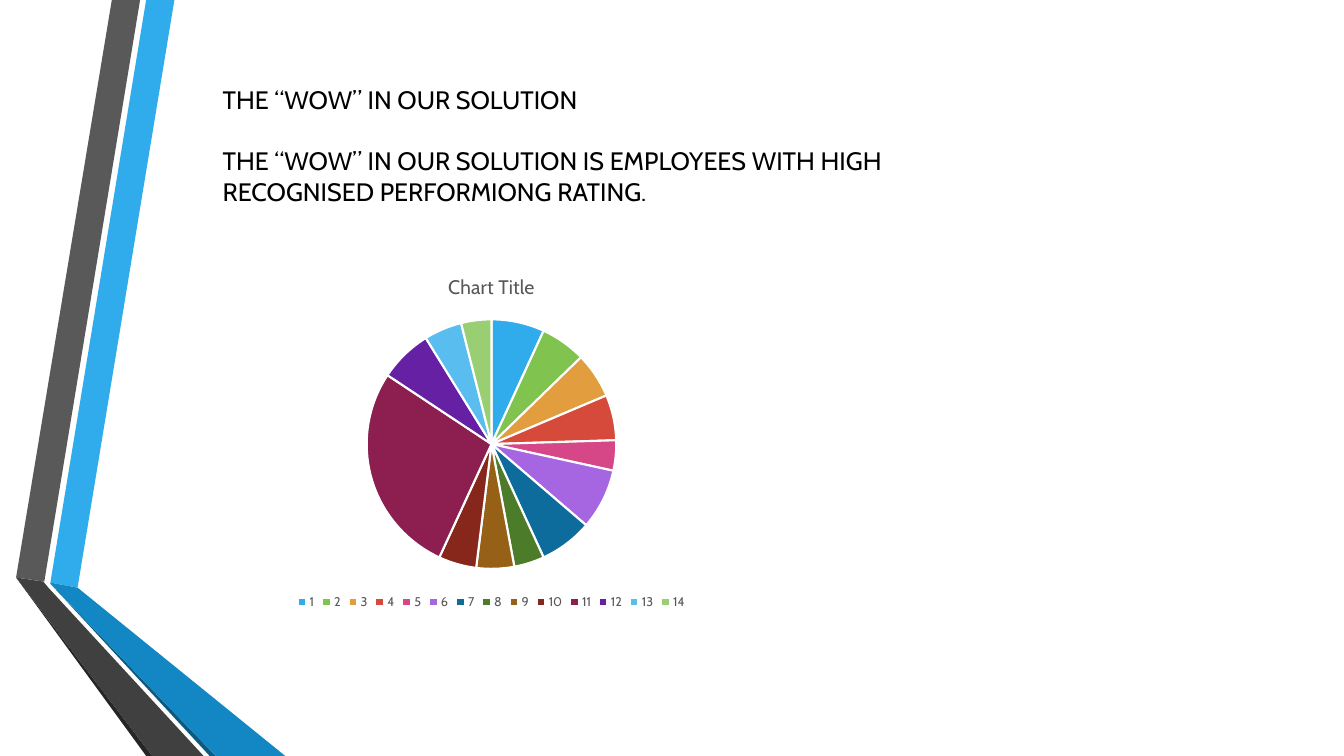
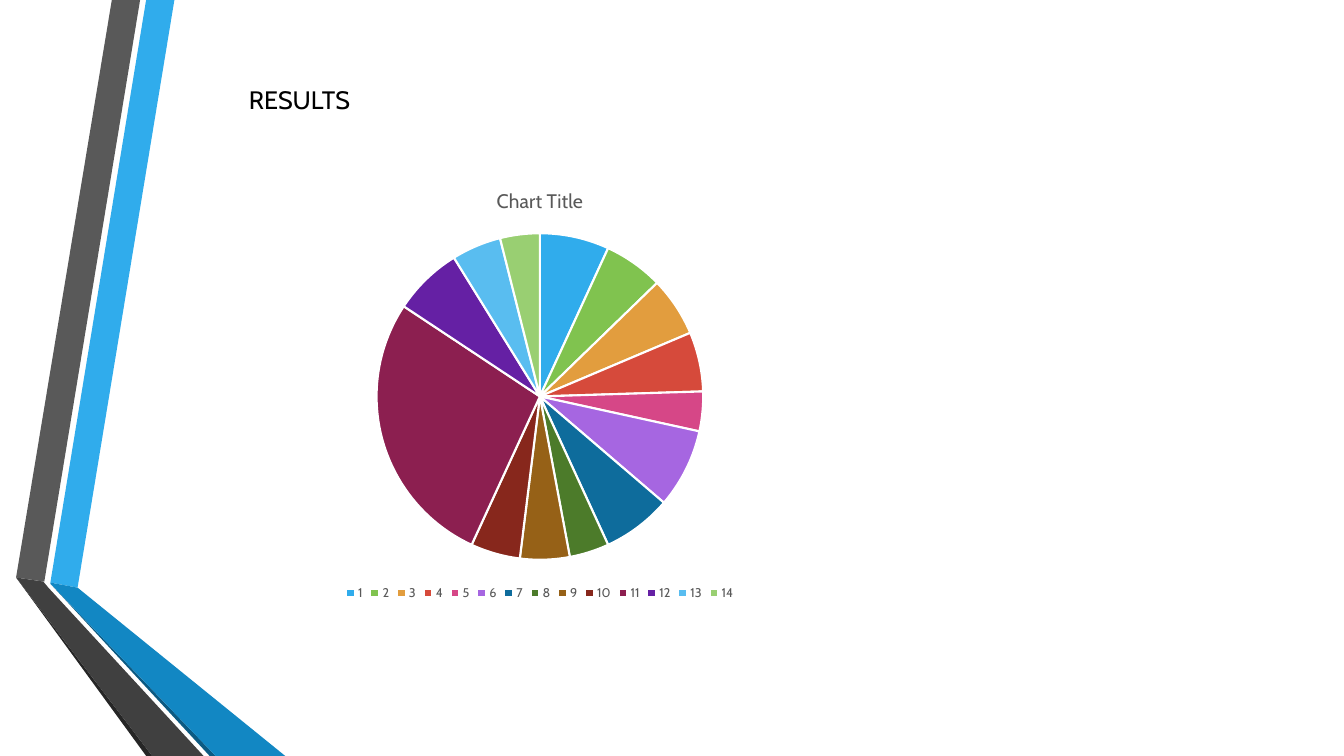
from pptx import Presentation
from pptx import util as u
from pptx.chart.data import CategoryChartData
from pptx.dml.color import RGBColor
from pptx.enum import chart as charts, text

FONT = "Cabin"
BLACK = RGBColor(0x00, 0x00, 0x00)
WHITE = RGBColor(0xFF, 0xFF, 0xFF)
SKY = RGBColor(0x30, 0xAC, 0xEC)
BLUE = RGBColor(0x12, 0x87, 0xC3)
NAVY = RGBColor(0x0C, 0x5A, 0x82)
GREY = RGBColor(0x59, 0x59, 0x59)
DARK_GREY = RGBColor(0x40, 0x40, 0x40)
CHARCOAL = RGBColor(0x26, 0x26, 0x26)

SLICE_COLOURS = [SKY] + [RGBColor.from_string(code) for code in (
    "80C34F", "E29D3E", "D64A3B", "D64787", "A666E1", "0E6C9C",
    "4C7B2A", "966117", "87271C", "8C1F50", "6520A4", "59BDF0", "99CF72")]
RATINGS = (7, 6, 6, 6, 4, 8, 7, 4, 5, 5, 28, 7, 5, 4)

RIBBONS = (
    (SKY, [(0.5, 5.78), (0.77, 5.83), (1.73, 0), (1.45, 0)]),
    (GREY, [(1.39, 0), (1.11, 0), (0.16, 5.73), (0.44, 5.77)]),
    (CHARCOAL, [(0.16, 5.73), (1.45, 7.5), (1.51, 7.5)]),
    (NAVY, [(0.5, 5.79), (2.08, 7.5), (2.14, 7.5)]),
    (BLUE, [(0.5, 5.79), (2.14, 7.5), (2.83, 7.5), (0.77, 5.83), (0.5, 5.78)]),
    (DARK_GREY, [(2.02, 7.5), (0.48, 5.83), (0.43, 5.77), (0.16, 5.73), (1.51, 7.5)]),
)


class Deck:
    """Hold the shared style and the slide being built."""

    def __init__(self):
        self.deck = Presentation()
        self.deck.slide_width = u.Inches(13.33)
        self.deck.slide_height = u.Inches(7.5)
        self.page = None

    def add_page(self):
        self.page = self.deck.slides.add_slide(self.deck.slide_layouts[6])
        for colour, corners in RIBBONS:
            self.add_ribbon(colour, corners)

    def add_ribbon(self, colour, corners):
        points = [(u.Inches(x), u.Inches(y)) for x, y in corners]
        builder = self.page.shapes.build_freeform(*points[0])
        builder.add_line_segments(points[1:], close=True)
        ribbon = builder.convert_to_shape()
        ribbon.shadow.inherit = False
        ribbon.fill.solid()
        ribbon.fill.fore_color.rgb = colour
        ribbon.line.fill.background()

    def style_font(self, font, size, colour):
        font.name = FONT
        font.size = u.Pt(size)
        font.bold = False
        font.color.rgb = colour

    def add_text(self, left, top, width, height, lines):
        box = self.page.shapes.add_textbox(*map(u.Inches, (left, top, width, height)))
        frame = box.text_frame
        frame.word_wrap = True
        frame.auto_size = text.MSO_AUTO_SIZE.SHAPE_TO_FIT_TEXT
        for index, line in enumerate(lines):
            para = frame.add_paragraph() if index else frame.paragraphs[0]
            para.text = line
            para.space_before = u.Pt(22 if index else 0)
            self.style_font(para.font, 18, BLACK)

    def add_pie(self, left, top, width, height):
        data = CategoryChartData()
        data.categories = [str(number) for number in range(1, len(RATINGS) + 1)]
        data.add_series("Series 1", RATINGS)
        chart = self.page.shapes.add_chart(
            charts.XL_CHART_TYPE.PIE,
            *map(u.Inches, (left, top, width, height)), data).chart
        self.style_font(chart.font, 10, BLACK)

        title = chart.chart_title.text_frame
        title.text = "Chart Title"
        self.style_font(title.paragraphs[0].font, 14, GREY)

        chart.has_legend = True
        chart.legend.position = charts.XL_LEGEND_POSITION.BOTTOM
        chart.legend.include_in_layout = False
        self.style_font(chart.legend.font, 9, GREY)

        plot = chart.plots[0]
        plot.vary_by_categories = True
        for index, colour in enumerate(SLICE_COLOURS):
            style = plot.series[0].points[index].format
            style.fill.solid()
            style.fill.fore_color.rgb = colour
            style.line.color.rgb = WHITE
            style.line.width = u.Pt(1.5)

    def save(self):
        self.deck.save("out.pptx")


def main():
    deck = Deck()

    deck.add_page()
    deck.add_text(2.11, 0.79, 6.86, 1.31, [
        "THE “WOW” IN OUR SOLUTION",
        "THE “WOW” IN OUR SOLUTION IS EMPLOYEES WITH HIGH "
        "RECOGNISED PERFORMIONG RATING."])
    deck.add_pie(1.73, 2.55, 6.29, 3.54)

    deck.add_page()
    deck.add_text(2.37, 0.79, 4.51, 0.4, ["RESULTS"])
    deck.add_pie(2.07, 1.68, 6.57, 4.32)

    deck.save()


if __name__ == "__main__":
    main()
